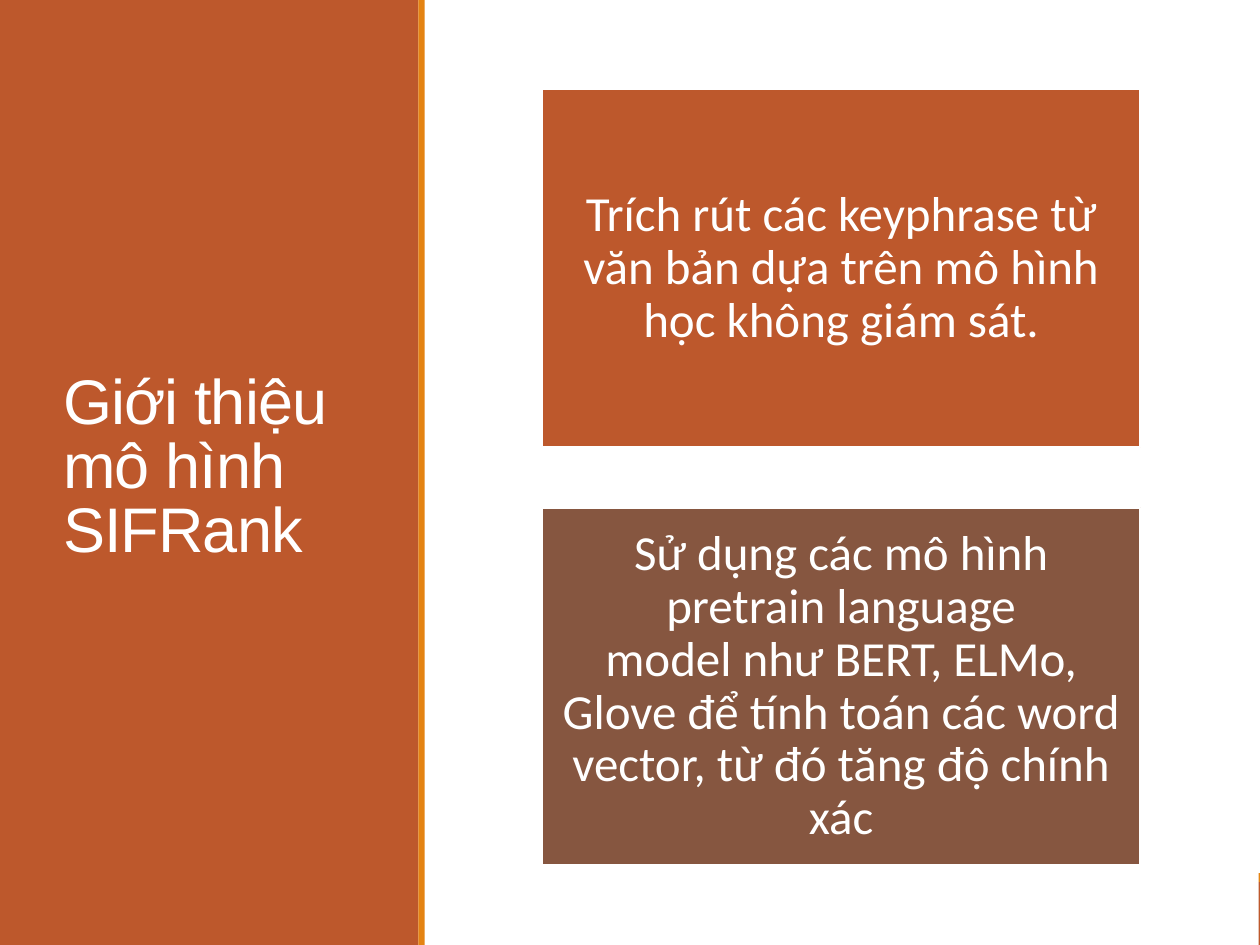
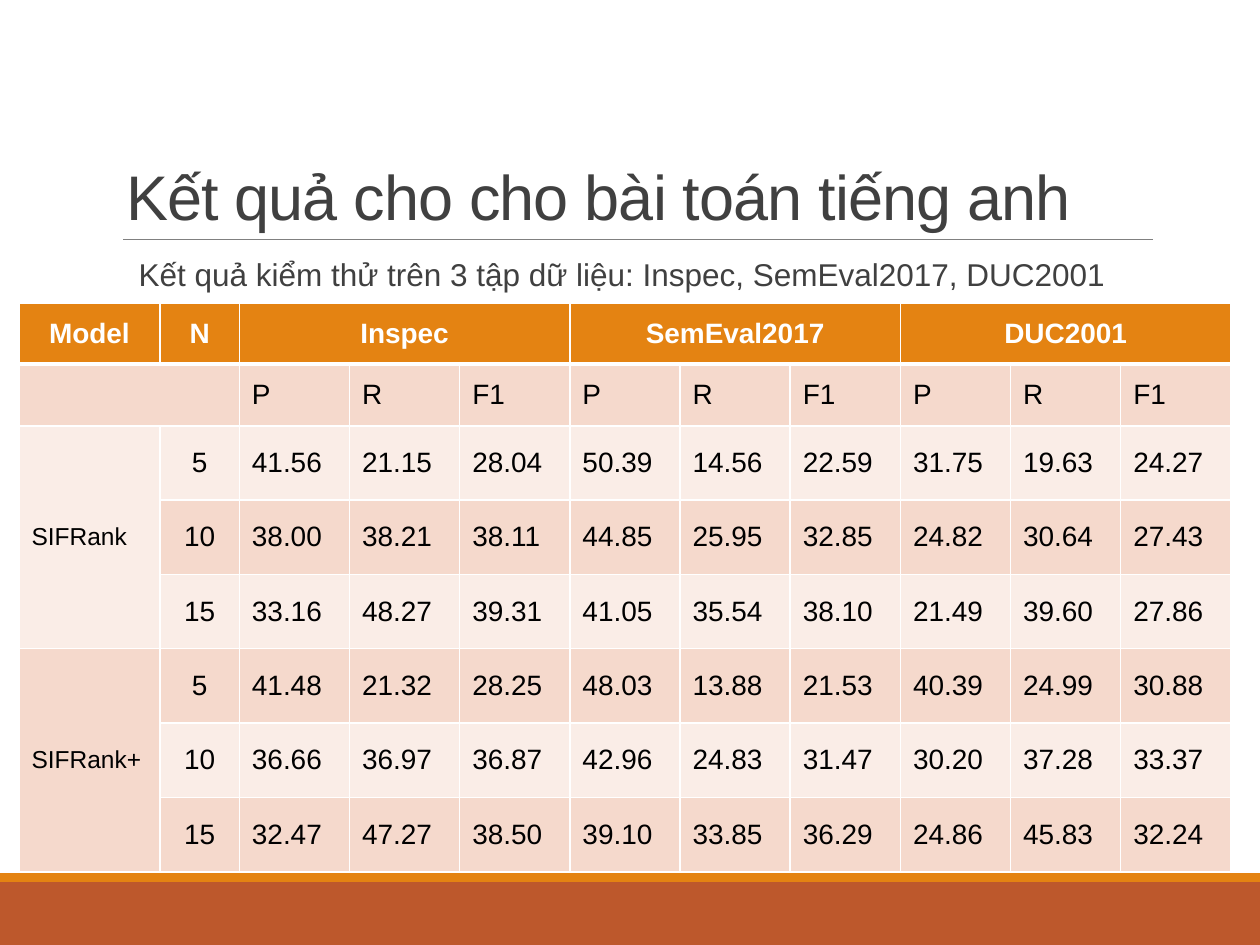
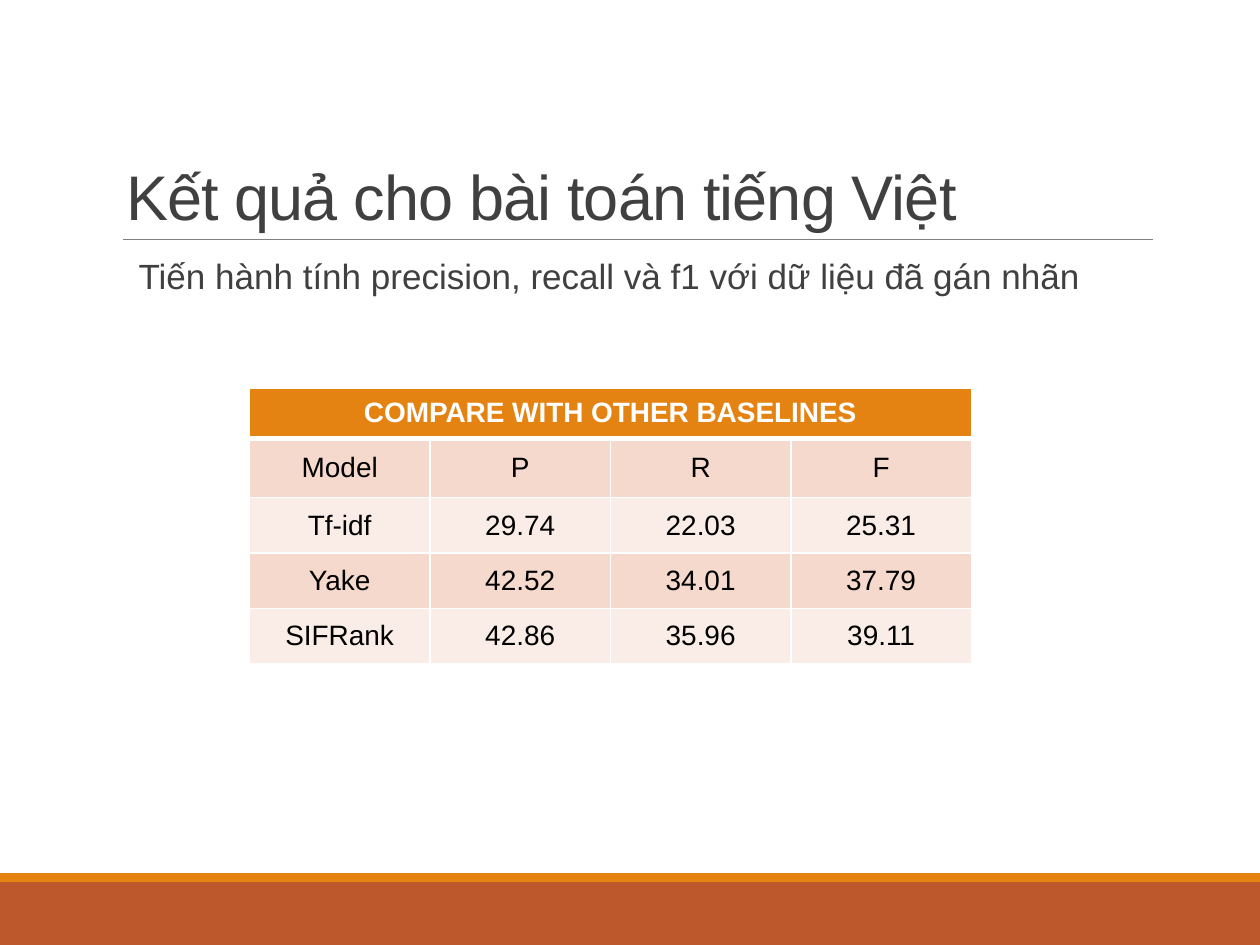
from lxml import etree
from pptx import Presentation
from pptx.dml.color import RGBColor
from pptx.enum import shapes, text
from pptx.oxml import ns
from pptx.util import Inches, Pt

RUST = RGBColor(0xBD, 0x58, 0x2C)
ORANGE = RGBColor(0xE4, 0x83, 0x12)
BROWN = RGBColor(0x86, 0x56, 0x40)
DARK_GRAY = RGBColor(0x40, 0x40, 0x40)
GRAY = RGBColor(0x80, 0x80, 0x80)
BLACK = RGBColor(0, 0, 0)
WHITE = RGBColor(0xFF, 0xFF, 0xFF)
ROW_FILLS = [RGBColor(0xFA, 0xED, 0xE7), RGBColor(0xF5, 0xD9, 0xCC)]

LEFT, CENTER = text.PP_ALIGN.LEFT, text.PP_ALIGN.CENTER
MIDDLE, BOTTOM = text.MSO_ANCHOR.MIDDLE, text.MSO_ANCHOR.BOTTOM
NBSP = chr(160)  # keeps two words on one line


def write(frame, words, size, color, font="Arial", bold=False, align=LEFT,
          line=1.0, before=0, after=0, tracking=0):
    """Fill a text frame with one formatted paragraph and return it."""
    frame.word_wrap = True
    paragraph = frame.paragraphs[0]
    paragraph.alignment = align
    paragraph.line_spacing = line
    paragraph.space_before, paragraph.space_after = Pt(before), Pt(after)
    run = paragraph.add_run()
    run.text = words
    run.font.name, run.font.size, run.font.bold = font, Pt(size), bold
    run.font.color.rgb = color
    if tracking:
        run._r.get_or_add_rPr().set("spc", str(int(tracking * 100)))
    return paragraph


def add_block(slide, left, top, width, height, color):
    """Add a plain rectangle behind everything already on the slide."""
    block = slide.shapes.add_shape(shapes.MSO_SHAPE.RECTANGLE, Inches(left), Inches(top),
                                   Inches(width), Inches(height))
    block.shadow.inherit = False
    block.fill.solid()
    block.fill.fore_color.rgb = color
    block.line.fill.background()
    block.element.getparent().insert(2, block.element)
    return block


prs = Presentation()
prs.slide_width, prs.slide_height = Inches(10), Inches(7.5)

# Introduction
intro = prs.slides.add_slide(prs.slide_layouts[5])
title = intro.shapes.title
title.left, title.top, title.width, title.height = [Inches(v) for v in (0.4, 0.57, 2.53, 6.31)]
title.text_frame.auto_size = text.MSO_AUTO_SIZE.NONE
title.text_frame.vertical_anchor = MIDDLE
write(title.text_frame, "Giới thiệu mô hình SIFRank", 36, WHITE, line=0.85, tracking=-0.5)

POINTS = [
    ("Trích rút các keyphrase từ văn bản dựa trên mô hình học không giám sát.", RUST),
    (f"Sử dụng các mô hình pretrain language model{NBSP}như BERT, ELMo, Glove để tính toán "
     "các word vector, từ đó tăng độ chính xác", BROWN),
]
for i, (point, color) in enumerate(POINTS):
    card = add_block(intro, 4.3, 0.71 + i * 3.32, 4.75, 2.84, color)
    card.line.color.rgb = WHITE
    card.line.width = Pt(1.25)
    frame = card.text_frame
    frame.margin_left = frame.margin_right = frame.margin_top = frame.margin_bottom = Inches(0.12)
    frame.vertical_anchor = MIDDLE
    write(frame, point, 28, WHITE, font="Calibri", align=CENTER, line=0.9)

add_block(intro, 3.32, 0, 0.05, 7.5, ORANGE)
add_block(intro, 0, 0, 3.32, 7.5, RUST)
add_block(intro, 0, 0, 9.99, 7.5, WHITE)

# Results: spans are (first row, first column, last row, last column)
RESULTS = [
    dict(
        title="Kết quả cho cho bài toán tiếng anh",
        lead="Kết quả kiểm thử trên 3 tập dữ liệu: Inspec, SemEval2017, DUC2001",
        lead_size=18,
        box=(0.15, 2.41, 9.62, 4.51),
        columns=[1.12, 0.63] + [7.87 / 9] * 9,
        heights=[0.48, 0.49] + [0.59] * 6,
        spans=[(0, 2, 0, 4), (0, 5, 0, 7), (0, 8, 0, 10), (1, 0, 1, 1), (2, 0, 4, 0), (5, 0, 7, 0)],
        centered=[1],
        model_size=14,
        margins=(0.1, 0.05),
        rows=[
            ["Model", "N", "Inspec", "", "", "SemEval2017", "", "", "DUC2001", "", ""],
            ["", ""] + ["P", "R", "F1"] * 3,
            ["SIFRank"] + "5 41.56 21.15 28.04 50.39 14.56 22.59 31.75 19.63 24.27".split(),
            [""] + "10 38.00 38.21 38.11 44.85 25.95 32.85 24.82 30.64 27.43".split(),
            [""] + "15 33.16 48.27 39.31 41.05 35.54 38.10 21.49 39.60 27.86".split(),
            ["SIFRank+"] + "5 41.48 21.32 28.25 48.03 13.88 21.53 40.39 24.99 30.88".split(),
            [""] + "10 36.66 36.97 36.87 42.96 24.83 31.47 30.20 37.28 33.37".split(),
            [""] + "15 32.47 47.27 38.50 39.10 33.85 36.29 24.86 45.83 32.24".split(),
        ],
    ),
    dict(
        title="Kết quả cho bài toán tiếng Việt",
        lead="Tiến hành tính precision, recall và f1 với dữ liệu đã gán nhãn",
        lead_size=20,
        box=(1.98, 3.08, 5.73, 2.19),
        columns=[5.73 / 4] * 4,
        heights=[0.4, 0.47] + [0.44] * 3,
        spans=[(0, 0, 0, 3)],
        centered=range(4),
        model_size=16,
        margins=(0.03, 0),
        rows=[
            ["COMPARE WITH OTHER BASELINES", "", "", ""],
            ["Model", "P", "R", "F"],
            ["Tf-idf", "29.74", "22.03", "25.31"],
            ["Yake", "42.52", "34.01", "37.79"],
            ["SIFRank", "42.86", "35.96", "39.11"],
        ],
    ),
]

for result in RESULTS:
    slide = prs.slides.add_slide(prs.slide_layouts[1])
    rule = slide.shapes.add_connector(shapes.MSO_CONNECTOR.STRAIGHT, Inches(0.98), Inches(1.9),
                                      Inches(9.15), Inches(1.9))
    rule.line.color.rgb = GRAY
    rule.line.width = Pt(0.5)
    etree.SubElement(rule.element.spPr, ns.qn("a:effectLst"))

    title, lead = slide.shapes.title, slide.placeholders[1]
    for holder, top, height in [(title, 0.31, 1.59), (lead, 2.01, 4.4)]:
        holder.left, holder.width = Inches(0.9), Inches(8.25)
        holder.top, holder.height = Inches(top), Inches(height)
        holder.text_frame.auto_size = text.MSO_AUTO_SIZE.NONE
    title.text_frame.vertical_anchor = BOTTOM
    write(title.text_frame, result["title"], 36, DARK_GRAY, line=0.85, tracking=-0.5)
    paragraph = write(lead.text_frame, result["lead"], result["lead_size"], DARK_GRAY,
                      line=0.9, before=12, after=2)
    properties = paragraph._p.get_or_add_pPr()
    properties.set("marL", str(Inches(0.1)))
    properties.set("indent", "0")
    etree.SubElement(properties, ns.qn("a:buNone"))

    rows = result["rows"]
    scores = slide.shapes.add_table(len(rows), len(rows[0]),
                                    *[Inches(v) for v in result["box"]]).table
    for column, width in zip(scores.columns, result["columns"]):
        column.width = Inches(width)
    for row, height in zip(scores.rows, result["heights"]):
        row.height = Inches(height)
    for top, left, bottom, right in result["spans"]:
        scores.cell(top, left).merge(scores.cell(bottom, right))

    side, edge = result["margins"]
    for r, values in enumerate(rows):
        header = r == 0
        for c, value in enumerate(values):
            cell = scores.cell(r, c)
            cell.vertical_anchor = MIDDLE
            cell.margin_left = cell.margin_right = Inches(side)
            cell.margin_top = cell.margin_bottom = Inches(edge)
            for border in ("lnL", "lnR", "lnT", "lnB"):
                thick = (header and border == "lnB") or (r == 1 and border == "lnT")
                line = etree.SubElement(cell._tc.get_or_add_tcPr(), ns.qn("a:" + border),
                                        w=str(Pt(3 if thick else 1)))
                fill = etree.SubElement(line, ns.qn("a:solidFill"))
                etree.SubElement(fill, ns.qn("a:srgbClr"), val=str(WHITE))
            cell.fill.solid()
            cell.fill.fore_color.rgb = ORANGE if header else ROW_FILLS[r % 2]
            if value:
                write(cell.text_frame, value,
                      size=result["model_size"] if c == 0 and r > 1 else 16,
                      color=WHITE if header else BLACK, bold=header,
                      align=CENTER if header or c in result["centered"] else LEFT)

# Footer bands, behind everything
for slide in prs.slides:
    add_block(slide, 0, 6.93, 10, 0.07, ORANGE)
    add_block(slide, 0, 7, 10, 0.5, RUST)

prs.save("out.pptx")
